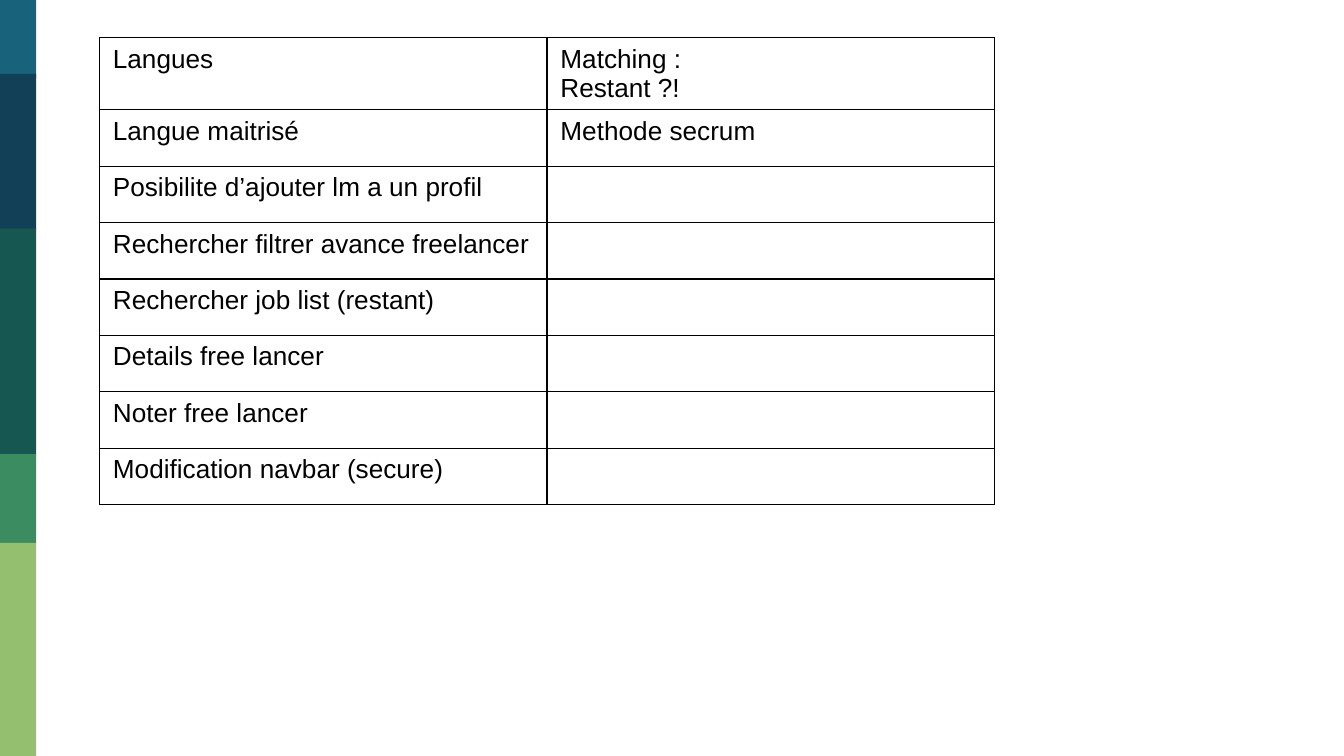
import pptx
import pptx.dml.color
import pptx.enum.shapes
import pptx.oxml
import pptx.oxml.ns
import pptx.util

Inches = pptx.util.Inches
RGB = pptx.dml.color.RGBColor

BLACK = RGB(0x00, 0x00, 0x00)
BLUE = RGB(0x18, 0x63, 0x7B)
NAVY = RGB(0x12, 0x40, 0x57)
TEAL = RGB(0x16, 0x57, 0x51)
GREEN = RGB(0x3B, 0x8D, 0x61)
LIME = RGB(0x94, 0xBF, 0x6E)

WIDTH = 10
HEIGHT = WIDTH * 9 / 16

# top, height, colour
BANDS = [
    (0, 0.58, BLUE),
    (0.55, 1.16, NAVY),
    (1.7, 1.68, TEAL),
    (3.38, 0.66, GREEN),
    (4.04, 1.59, LIME),
]
BAND_W = 0.27

TASKS = [
    ("Langues", "Matching :\nRestant ?!"),
    ("Langue maitrisé", "Methode secrum"),
    ("Posibilite d’ajouter lm a un profil", ""),
    ("Rechercher filtrer avance freelancer", ""),
    ("Rechercher job list (restant)", ""),
    ("Details free lancer", ""),
    ("Noter free lancer", ""),
    ("Modification navbar (secure)", ""),
]
LEFT, TOP = 0.74, 0.28
COL_W, ROW_H = 3.33, 0.42


def add_band(slide, top, height, color):
    band = slide.shapes.add_shape(
        pptx.enum.shapes.MSO_SHAPE.RECTANGLE,
        0, Inches(top), Inches(BAND_W), Inches(height))
    band.shadow.inherit = False
    band.fill.solid()
    band.fill.fore_color.rgb = color
    band.line.fill.background()


def set_edges(cell):
    """Draw a thin black line on all four sides of the cell."""
    props = cell._tc.get_or_add_tcPr()
    for pos, side in enumerate(("lnL", "lnR", "lnT", "lnB")):
        edge = pptx.oxml.parse_xml(
            f'<a:{side} {pptx.oxml.ns.nsdecls("a")} w="{pptx.util.Pt(0.75)}">'
            f'<a:solidFill><a:srgbClr val="{BLACK}"/></a:solidFill></a:{side}>')
        props.insert(pos, edge)


def fill_cell(cell, text):
    cell.fill.background()
    set_edges(cell)
    cell.text_frame.text = text
    for para in cell.text_frame.paragraphs:
        for run in para.runs:
            run.font.name = "Arial"
            run.font.size = pptx.util.Pt(14)
            run.font.color.rgb = BLACK


def add_tasks(slide):
    rows, cols = len(TASKS), len(TASKS[0])
    table = slide.shapes.add_table(
        rows, cols, Inches(LEFT), Inches(TOP),
        Inches(cols * COL_W), Inches(rows * ROW_H)).table
    table.first_row = False
    table.horz_banding = False
    for col in table.columns:
        col.width = Inches(COL_W)
    for row, texts in zip(table.rows, TASKS):
        row.height = Inches(ROW_H)
        for cell, text in zip(row.cells, texts):
            fill_cell(cell, text)


def main():
    deck = pptx.Presentation()
    deck.slide_width = Inches(WIDTH)
    deck.slide_height = Inches(HEIGHT)
    slide = deck.slides.add_slide(deck.slide_layouts[6])
    for band in BANDS:
        add_band(slide, *band)
    add_tasks(slide)
    deck.save("out.pptx")


if __name__ == "__main__":
    main()
